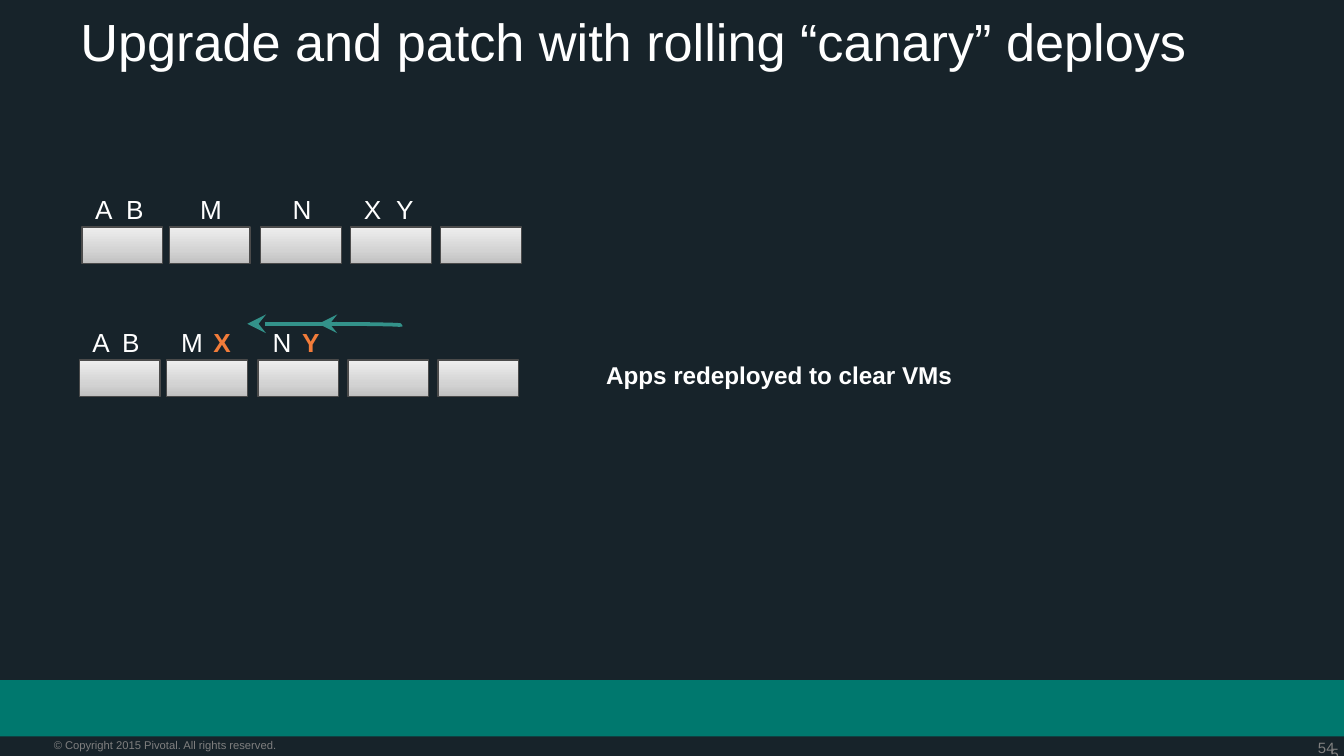
from copy import deepcopy
from pptx import Presentation
from pptx.dml.color import RGBColor
from pptx.enum.shapes import MSO_CONNECTOR, MSO_SHAPE
from pptx.enum.text import MSO_ANCHOR, PP_ALIGN
from pptx.oxml.ns import qn
from pptx.oxml.xmlchemy import OxmlElement
from pptx.util import Inches, Pt

NAVY = RGBColor(0x17, 0x23, 0x2A)
GREEN = RGBColor(0x00, 0x78, 0x6E)
TEAL = RGBColor(0x33, 0x92, 0x8A)
ORANGE = RGBColor(0xF2, 0x7C, 0x3A)
WHITE = RGBColor(0xFF, 0xFF, 0xFF)
GRAY = RGBColor(0x7F, 0x7F, 0x7F)
BORDER = RGBColor(0x4B, 0x4B, 0x4B)
VM_STOPS = [
    (0, RGBColor(0xEE, 0xEE, 0xEE)),
    (0.65, RGBColor(0xD3, 0xD3, 0xD3)),
    (1, RGBColor(0xC0, 0xC0, 0xC0)),
]


def add_text(text, left, top, width, height, size, color=WHITE, bold=False,
             margins=(0.1, 0.05), wrap=True):
    box = page.shapes.add_textbox(Inches(left), Inches(top), Inches(width), Inches(height))
    frame = box.text_frame
    frame.word_wrap = wrap
    frame.margin_left = frame.margin_right = Inches(margins[0])
    frame.margin_top = frame.margin_bottom = Inches(margins[1])
    frame.text = text
    font = frame.paragraphs[0].runs[0].font
    font.name = "Arial"
    font.size = Pt(size)
    font.bold = bold
    font.color.rgb = color
    return frame


def add_vm(left, top):
    vm = page.shapes.add_shape(
        MSO_SHAPE.RECTANGLE, Inches(left), Inches(top), Inches(0.6), Inches(0.27))
    vm.shadow.inherit = False
    vm.line.color.rgb = BORDER
    vm.line.width = Pt(0.75)
    vm.fill.gradient()
    vm.fill.gradient_angle = 270
    stop_list = vm._element.spPr.find(qn("a:gradFill")).find(qn("a:gsLst"))
    stop_list.append(deepcopy(stop_list[-1]))
    for stop, (position, color) in zip(vm.fill.gradient_stops, VM_STOPS):
        stop.position = position
        stop.color.rgb = color


deck = Presentation()
deck.slide_width = Inches(10)
deck.slide_height = deck.slide_width * 9 // 16
page = deck.slides.add_slide(deck.slide_layouts[6])
page.background.fill.solid()
page.background.fill.fore_color.rgb = NAVY

band = page.shapes.add_shape(
    MSO_SHAPE.RECTANGLE, Inches(0), Inches(5.06), Inches(10), Inches(0.42))
band.shadow.inherit = False
band.fill.solid()
band.fill.fore_color.rgb = GREEN
band.line.fill.background()

number = add_text("54", 9.35, 5.49, 0.58, 0.14, 8, GRAY, margins=(0, 0))
number.paragraphs[0].alignment = PP_ALIGN.RIGHT
number.vertical_anchor = MSO_ANCHOR.MIDDLE
add_text("© Copyright 2015 Pivotal. All rights reserved.",
         0.4, 5.49, 2.49, 0.1, 6, GRAY, margins=(0, 0))
add_text("Upgrade and patch with rolling “canary” deploys",
         0.5, 0.02, 9, 0.94, 28)
add_text("54", 9.86, 5.49, 0.14, 0.14, 8, GRAY)

VM_OFFSETS = [0, 0.65, 1.33, 2, 2.67]
ROWS = [
    (0.61, 1.69, [("A", 0.61, WHITE), ("B", 0.84, WHITE), ("M", 1.39, WHITE),
                  ("N", 2.08, WHITE), ("X", 2.61, WHITE), ("Y", 2.85, WHITE)]),
    (0.59, 2.68, [("A", 0.59, WHITE), ("B", 0.81, WHITE), ("M", 1.25, WHITE),
                  ("X", 1.49, ORANGE), ("N", 1.93, WHITE), ("Y", 2.15, ORANGE)]),
]
for row_left, row_top, apps in ROWS:
    for offset in VM_OFFSETS:
        add_vm(row_left + offset, row_top)
    for app, app_left, color in apps:
        add_text(app, app_left, row_top - 0.3, 0.34, 0.34, 14, color,
                 bold=color == ORANGE, wrap=False)

add_text("Apps redeployed to clear VMs", 4.46, 2.63, 2.77, 0.43, 13,
         bold=True, margins=(0.05, 0.05))

for start_x, start_y, end_x in [(2.75, 2.41, 1.84), (2.98, 2.43, 2.37)]:
    move = page.shapes.add_connector(
        MSO_CONNECTOR.CURVE, Inches(start_x), Inches(start_y), Inches(end_x), Inches(2.41))
    move.line.color.rgb = TEAL
    move.line.width = Pt(2)
    properties = move._element.spPr
    guide = OxmlElement("a:gd")
    guide.set("name", "adj1")
    guide.set("fmla", "val 0")
    properties.find(qn("a:prstGeom")).get_or_add_avLst().append(guide)
    head = OxmlElement("a:tailEnd")
    head.set("type", "stealth")
    head.set("w", "lg")
    head.set("len", "lg")
    properties.find(qn("a:ln")).append(head)
    properties.append(OxmlElement("a:effectLst"))

deck.save("out.pptx")
